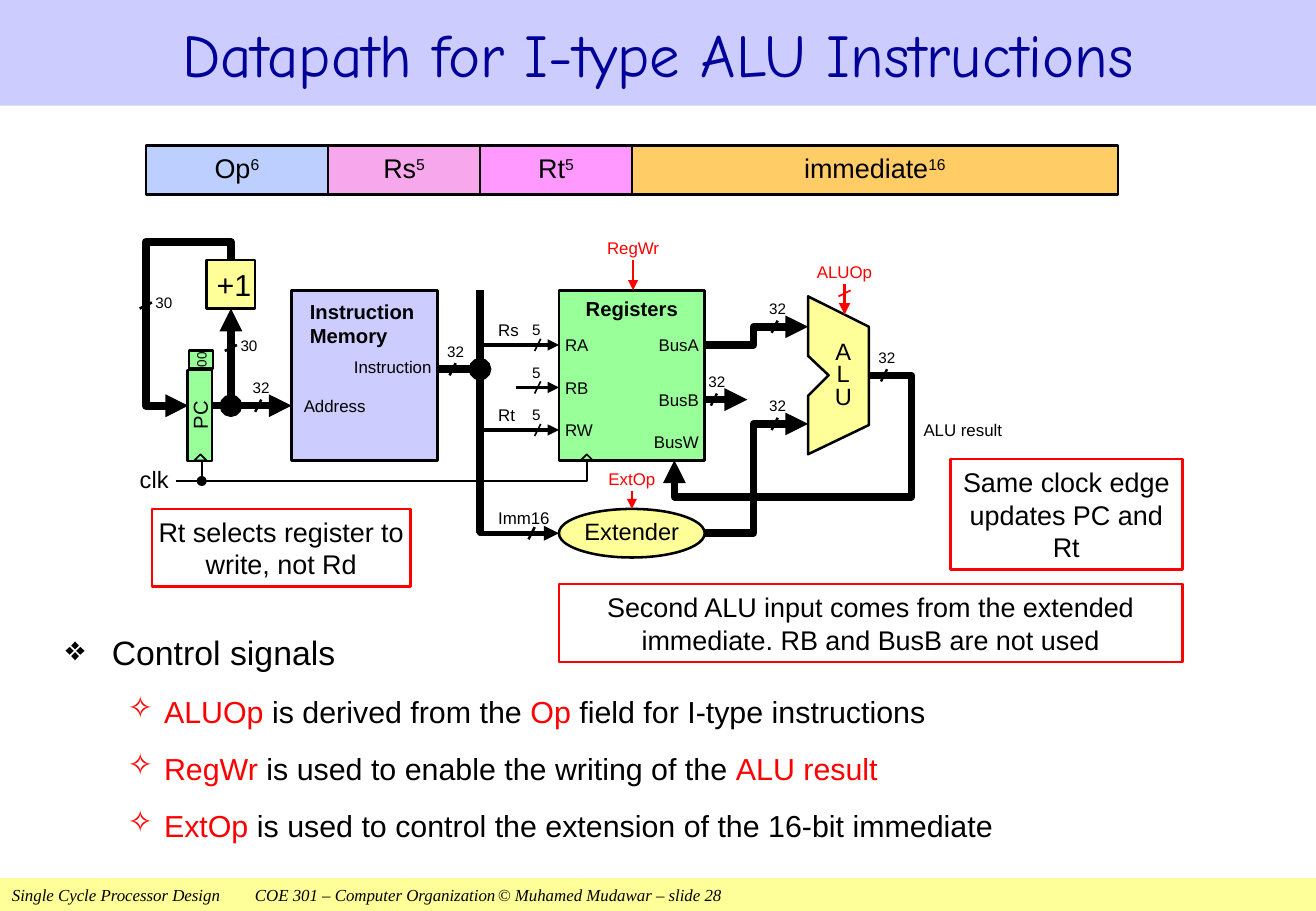
from lxml import etree
from pptx import Presentation
from pptx.dml.color import RGBColor
from pptx.enum.shapes import MSO_CONNECTOR, MSO_SHAPE
from pptx.enum.text import MSO_ANCHOR, PP_ALIGN
from pptx.oxml.ns import qn
from pptx.util import Inches, Pt

RECT, OVAL, TRIANGLE = MSO_SHAPE.RECTANGLE, MSO_SHAPE.OVAL, MSO_SHAPE.ISOSCELES_TRIANGLE
STRAIGHT = MSO_CONNECTOR.STRAIGHT
LEFT, CENTER, RIGHT = PP_ALIGN.LEFT, PP_ALIGN.CENTER, PP_ALIGN.RIGHT
TOP, MIDDLE = MSO_ANCHOR.TOP, MSO_ANCHOR.MIDDLE

COLORS = {
    "black": "000000", "red": "FF0000", "navy": "000099", "lavender": "CCCCFF",
    "yellow": "FFFF99", "green": "99FF99", "blue": "BCCFFE", "pink": "F7A7EC",
    "magenta": "FF99FF", "orange": "FFCC66",
}
FIELDS = [("Op", "6", 1.5, "blue"), ("Rs", "5", 1.25, "pink"),
          ("Rt", "5", 1.25, "magenta"), ("immediate", "16", 4, "orange")]
BULLETS = [
    [("Control signals", "black")],
    [("ALUOp ", "red"), ("is derived from the ", "black"), ("Op", "red"),
     (" field for I-type instructions", "black")],
    [("RegWr", "red"), (" is used to enable the writing of the ", "black"),
     ("ALU result", "red")],
    [("ExtOp ", "red"),
     ("is used to control the extension of the 16-bit immediate", "black")],
]


def rgb(name):
    return RGBColor.from_string(COLORS[name])


def style_span(span, size, color="black", bold=False, italic=False, font="Arial"):
    span.font.name = font
    span.font.size = Pt(size)
    span.font.bold = bold
    span.font.italic = italic
    span.font.color.rgb = rgb(color)


def write(shape, text, size, color="black", align=CENTER, anchor=MIDDLE,
          margins=(0, 0), spacing=1, **style):
    """Fill a shape with text; margins are horizontal and vertical, in inches."""
    frame = shape.text_frame
    frame.word_wrap = True
    frame.vertical_anchor = anchor
    frame.margin_left = frame.margin_right = Inches(margins[0])
    frame.margin_top = frame.margin_bottom = Inches(margins[1])
    frame.text = text
    for para in frame.paragraphs:
        para.alignment = align
        para.line_spacing = spacing
        for span in para.runs:
            style_span(span, size, color, **style)
    return frame


def paint(shape, fill=None, line=None, width=1.5):
    shape.shadow.inherit = False
    if fill:
        shape.fill.solid()
        shape.fill.fore_color.rgb = rgb(fill)
    else:
        shape.fill.background()
    if line:
        shape.line.color.rgb = rgb(line)
        shape.line.width = Pt(width)
    else:
        shape.line.fill.background()
    return shape


def block(page, kind, area, fill=None, line="black", width=1.5):
    return paint(page.shapes.add_shape(kind, *map(Inches, area)), fill, line, width)


def label(page, area, text, size=10, color="black", align=LEFT, **options):
    box = page.shapes.add_textbox(*map(Inches, area))
    write(box, text, size, color, align, **options)


def outline(page, points, close):
    corners = [(Inches(x), Inches(y)) for x, y in points]
    builder = page.shapes.build_freeform(*corners[0])
    builder.add_line_segments(corners[1:], close=close)
    return builder.convert_to_shape()


def wire(page, points, width=4.5, color="black", head=None, tail="triangle"):
    """Draw a line or bent path; head and tail are the end marks."""
    if len(points) == 2:
        ends = [Inches(value) for point in points for value in point]
        shape = page.shapes.add_connector(STRAIGHT, *ends)
        shape.line.color.rgb = rgb(color)
        shape.line.width = Pt(width)
        etree.SubElement(shape._element.spPr, qn("a:effectLst"))
    else:
        shape = paint(outline(page, points, False), None, color, width)
    line = shape.line._get_or_add_ln()
    etree.SubElement(line, qn("a:round"))
    for tag, mark in (("a:headEnd", head), ("a:tailEnd", tail)):
        if mark:
            etree.SubElement(line, qn(tag), type=mark)


def bus_width(page, x, y, bits):
    """Slash a horizontal bus at its top end (x, y) and write its width above."""
    narrow = bits == "5"
    wire(page, [(x, y), (x - 0.05, y + 0.1)], 1 if narrow else 1.5, tail=None)
    rise = 0.15 if narrow else 0.2
    label(page, (x - 0.07, y - rise, 0.2, rise), bits, 9)


def upright_bus_width(page, x, y, bits):
    wire(page, [(x, y), (x - 0.1, y + 0.05)], 1.5, tail=None)
    label(page, (x + 0.03, y - 0.1, 0.2, 0.2), bits, 9)


def control(page, x, top, drop, text, width=1):
    """Place a red control signal with its arrow below."""
    label(page, (x - 0.4, top, 0.8, 0.2), text, 10, "red", CENTER)
    wire(page, [(x, top + 0.2), (x, top + 0.2 + drop)], width, "red")


def callout(page, area, text, side=0.1):
    write(block(page, RECT, area, line="red"), text, 16, margins=(side, 0.05))


def add_tabs(para, stops):
    tabs = etree.SubElement(para._p.get_or_add_pPr(), qn("a:tabLst"))
    for stop in stops:
        etree.SubElement(tabs, qn("a:tab"), pos=str(Inches(stop)), algn="l")


def add_frame(page):
    title = block(page, RECT, (0, 0, 10.83, 0.87), "lavender", None)
    write(title, "Datapath for I-type ALU Instructions", 36, "navy", font="Comic Neue")
    footer = block(page, RECT, (0, 7.23, 10.83, 0.27), "yellow", None)
    text = ("Single Cycle Processor Design\tCOE 301 – Computer Organization"
            "\t© Muhamed Mudawar – slide 28")
    frame = write(footer, text, 10, align=LEFT, margins=(0.1, 0.03),
                  italic=True, font="Times New Roman")
    add_tabs(frame.paragraphs[0], (2, 4))


def add_format(page):
    left = 1.2
    for name, bits, width, fill in FIELDS:
        field = block(page, RECT, (left, 1.2, width, 0.4), fill)
        para = write(field, name, 16, spacing=0.85).paragraphs[0]
        span = para.add_run()
        span.text = bits
        style_span(span, 16)
        span._r.get_or_add_rPr().set("baseline", "30000")
        left += width


def add_fetch(page):
    block(page, RECT, (2.4, 2.39, 1.2, 1.4), "lavender")
    label(page, (2.55, 2.39, 0.95, 0.55), "Instruction\nMemory", 12, bold=True)
    label(page, (2.6, 2.89, 0.95, 0.25), "Instruction", align=RIGHT)
    label(page, (2.5, 3.19, 0.75, 0.3), "Address")
    wire(page, [(1.75, 3.34), (2.4, 3.34)])
    wire(page, [(3.6, 3.04), (3.95, 3.04)], tail="oval")
    for area, text, size in (((1.27, 3.32, 0.75, 0.2), "PC", 12),
                             ((1.58, 2.86, 0.15, 0.2), "00", 8)):
        register = block(page, RECT, area, "green")
        register.rotation = 270
        write(register, text, size)
    wire(page, [(1.9, 3.34), (1.9, 2.54)], head="oval")
    increment = write(block(page, RECT, (1.7, 2.14, 0.4, 0.4), "yellow"), "+1", 18)
    increment.margin_left = Inches(0.05)
    wire(page, [(1.9, 2.14), (1.9, 1.99), (1.2, 1.99), (1.2, 3.34), (1.55, 3.34)])
    wire(page, [(3.95, 2.39), (3.95, 4.39)], tail=None)
    upright_bus_width(page, 1.25, 2.49, "30")
    upright_bus_width(page, 1.95, 2.84, "30")


def add_registers(page):
    registers = block(page, RECT, (4.6, 2.39, 1.2, 1.4), "green")
    write(registers, "Registers", 12, anchor=TOP, margins=(0.01, 0.05), bold=True)
    for port, y, start, source in (("RA", 2.84, 3.95, "Rs"), ("RB", 3.19, 4.25, None),
                                   ("RW", 3.54, 3.95, "Rt")):
        wire(page, [(start, y), (4.6, y)], 2.25)
        bus_width(page, 4.45, y - 0.05, "5")
        label(page, (4.65, y - 0.15, 0.45, 0.3), port)
        if source:
            label(page, (4.1, y - 0.2, 0.2, 0.15), source)
    for port, y in (("BusA", 2.84), ("BusB", 3.29), ("BusW", 3.64)):
        label(page, (5.3, y - 0.1, 0.45, 0.2), port, align=RIGHT)


def add_alu(page):
    wire(page, [(5.8, 3.29), (6.15, 3.29)])
    wire(page, [(7.15, 3.09), (7.5, 3.09), (7.5, 4.09), (5.55, 4.09), (5.55, 3.79)])
    wire(page, [(5.8, 2.84), (6.2, 2.84), (6.2, 2.69), (6.65, 2.69)])
    wire(page, [(5.8, 4.39), (6.2, 4.39), (6.2, 3.49), (6.65, 3.49)])
    wire(page, [(3.95, 4.24), (3.95, 4.39), (4.6, 4.39)], 3)
    body = [(6.65, 3.74), (7.15, 3.5), (7.15, 2.69), (6.65, 2.44),
            (6.65, 2.93), (6.82, 3.09), (6.65, 3.26)]
    paint(outline(page, body, True), "yellow", "black")
    label(page, (6.73, 2.69, 0.42, 0.81), "A\nL\nU", 14, align=CENTER, spacing=0.8)
    label(page, (7.6, 3.39, 0.75, 0.3), "ALU result")
    extender = block(page, OVAL, (4.6, 4.19, 1.2, 0.4), "yellow")
    write(extender, "Extender", 14, spacing=0.8)
    label(page, (4.1, 4.19, 0.5, 0.15), "Imm16")
    wire(page, [(4.4, 4.34), (4.35, 4.44)], 1.5, tail=None)
    for x, y in ((2.15, 3.29), (3.75, 2.99), (5.9, 3.24), (6.4, 3.44),
                 (6.4, 2.64), (7.3, 3.04)):
        bus_width(page, x, y, "32")


def add_clock(page):
    wire(page, [(4.83, 3.79), (4.83, 3.96), (1.45, 3.96)], 1, tail=None)
    wire(page, [(1.66, 3.79), (1.66, 3.96)], 1, tail="oval")
    label(page, (1.15, 3.84, 0.3, 0.2), "clk", 14)
    for left in (1.6, 4.78):
        block(page, TRIANGLE, (left, 3.74, 0.1, 0.05), width=1)


def add_bullets(page):
    frame = page.shapes.add_textbox(*map(Inches, (0.54, 5.12, 9.75, 1.93))).text_frame
    frame.word_wrap = True
    frame.margin_left = frame.margin_right = 0
    for index, spans in enumerate(BULLETS):
        para = frame.add_paragraph() if index else frame.paragraphs[0]
        mark, color, size, margin, indent = (
            ("✧", "red", 18, 0.81, -0.3) if index else ("❖", "black", 20, 0.38, -0.38))
        props = para._p.get_or_add_pPr()
        props.set("marL", str(Inches(margin)))
        props.set("indent", str(Inches(indent)))
        tint = etree.SubElement(props, qn("a:buClr"))
        etree.SubElement(tint, qn("a:srgbClr"), val=COLORS[color])
        etree.SubElement(props, qn("a:buChar"), char=mark)
        para.line_spacing = 1.1
        if index:
            para.level = 1
            para.space_before = Pt(10)
        for text, tone in spans:
            span = para.add_run()
            span.text = text
            style_span(span, size, tone)


def main():
    deck = Presentation()
    deck.slide_width, deck.slide_height = Inches(10.83), Inches(7.5)
    page = deck.slides.add_slide(deck.slide_layouts[6])
    for add_part in (add_frame, add_format, add_fetch, add_registers, add_alu,
                     add_clock, add_bullets):
        add_part(page)
    control(page, 6.95, 2.14, 0.25, "ALUOp", 2.25)
    wire(page, [(7, 2.39), (6.9, 2.44)], 1, "red", tail=None)
    control(page, 5.21, 1.94, 0.25, "RegWr")
    control(page, 5.2, 3.84, 0.15, "ExtOp")
    callout(page, (4.6, 4.81, 5.13, 0.64),
            "Second ALU input comes from the extended immediate. RB and BusB are not used")
    callout(page, (7.82, 3.78, 1.91, 0.91), "Same clock edge updates PC and Rt")
    callout(page, (1.25, 4.19, 2.13, 0.64), "Rt selects register to write, not Rd", 0)
    deck.save("out.pptx")


if __name__ == "__main__":
    main()
